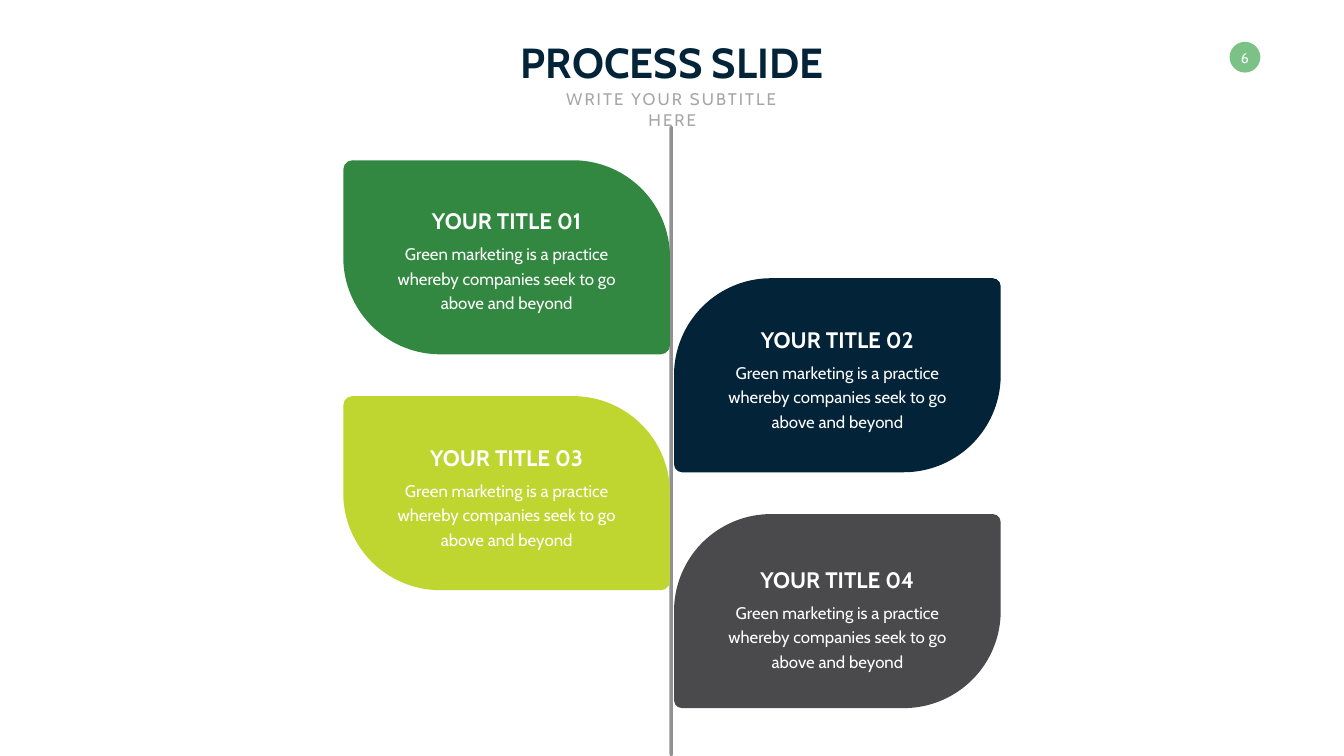
import pptx
import pptx.util
import pptx.dml.color
import pptx.enum.shapes
import pptx.enum.text

Inches = pptx.util.Inches
Pt = pptx.util.Pt
RGBColor = pptx.dml.color.RGBColor
SHAPES = pptx.enum.shapes.MSO_SHAPE
ANCHOR = pptx.enum.text.MSO_ANCHOR

PAPER = RGBColor(0xFE, 0xFF, 0xFE)
WHITE = RGBColor(0xFF, 0xFF, 0xFF)
NAVY = RGBColor(0x02, 0x23, 0x38)
GREEN = RGBColor(0x32, 0x88, 0x40)
LIME = RGBColor(0xBE, 0xD6, 0x2F)
CHARCOAL = RGBColor(0x4A, 0x4A, 0x4C)
MINT = RGBColor(0x7C, 0xC2, 0x87)
STEM_GREY = RGBColor(0x92, 0x92, 0x94)
SUBTITLE_GREY = RGBColor(0xA6, 0xA6, 0xA6)

deck = pptx.Presentation()
deck.slide_width = Inches(26.66)
deck.slide_height = Inches(15)
page = deck.slides.add_slide(deck.slide_layouts[6])
page.background.fill.solid()
page.background.fill.fore_color.rgb = PAPER


def add_block(kind, left, top, width, height, color, adjustments=()):
    block = page.shapes.add_shape(
        kind, Inches(left), Inches(top), Inches(width), Inches(height))
    block.shadow.inherit = False
    block.fill.solid()
    block.fill.fore_color.rgb = color
    block.line.fill.background()
    for index, value in enumerate(adjustments):
        block.adjustments[index] = value


def add_text(text, left, top, width, height, size, color,
             bold=False, wrap=False, anchor=ANCHOR.TOP):
    box = page.shapes.add_textbox(
        Inches(left), Inches(top), Inches(width), Inches(height))
    frame = box.text_frame
    frame.word_wrap = wrap
    frame.auto_size = pptx.enum.text.MSO_AUTO_SIZE.SHAPE_TO_FIT_TEXT
    frame.vertical_anchor = anchor
    para = frame.paragraphs[0]
    para.text = text
    para.alignment = pptx.enum.text.PP_ALIGN.CENTER
    para.font.name = "Cabin"
    para.font.size = Pt(size)
    para.font.bold = bold
    para.font.color.rgb = color
    return frame


add_block(SHAPES.OVAL, 24.39, 0.83, 0.61, 0.61, MINT)
number = add_text("6", 24.5, 0.97, 0.39, 0.34, 20, WHITE, anchor=ANCHOR.MIDDLE)
number.margin_left = number.margin_right = 0
number.margin_top = number.margin_bottom = 0

add_text("PROCESS SLIDE", 10.09, 0.67, 6.48, 1.11, 60, NAVY, bold=True)
subtitle = add_text("WRITE YOUR SUBTITLE HERE", 10.62, 1.72, 5.43, 0.5,
                    24, SUBTITLE_GREY, wrap=True)
span = subtitle.paragraphs[0].runs[0]
span.font._element.set("spc", "300")

add_block(SHAPES.ROUNDED_RECTANGLE, 13.28, 2.5, 0.07, 12.5, STEM_GREY, (0.5,))

LEAF_WIDTH, LEAF_HEIGHT = 6.48, 3.85
BODY_WIDTH, BODY_HEIGHT = 4.54, 1.52
TITLE_WIDTH, TITLE_HEIGHT = 3.34, 0.64
LEAF_SIDES = [(6.81, (0.047, 0.5)), (13.37, (0.5, 0.041))]
LEAVES = [(GREEN, 4.7), (NAVY, 7.06), (LIME, 9.4), (CHARCOAL, 11.82)]

for index, (color, body_top) in enumerate(LEAVES):
    left, corners = LEAF_SIDES[index % 2]
    center = left + LEAF_WIDTH / 2
    add_block(SHAPES.ROUND_2_DIAG_RECTANGLE, left, 3.18 + index * 2.34,
              LEAF_WIDTH, LEAF_HEIGHT, color, corners)
    body = add_text(
        "Green marketing is a practice whereby companies seek to go above and beyond",
        center - BODY_WIDTH / 2, body_top, BODY_WIDTH, BODY_HEIGHT,
        24, WHITE, wrap=True)
    body.paragraphs[0].line_spacing = Pt(35)
    add_text(f"YOUR TITLE {index + 1:02d}", center - TITLE_WIDTH / 2,
             body_top - TITLE_HEIGHT, TITLE_WIDTH, TITLE_HEIGHT,
             32, WHITE, bold=True, anchor=ANCHOR.BOTTOM)

deck.save("out.pptx")
